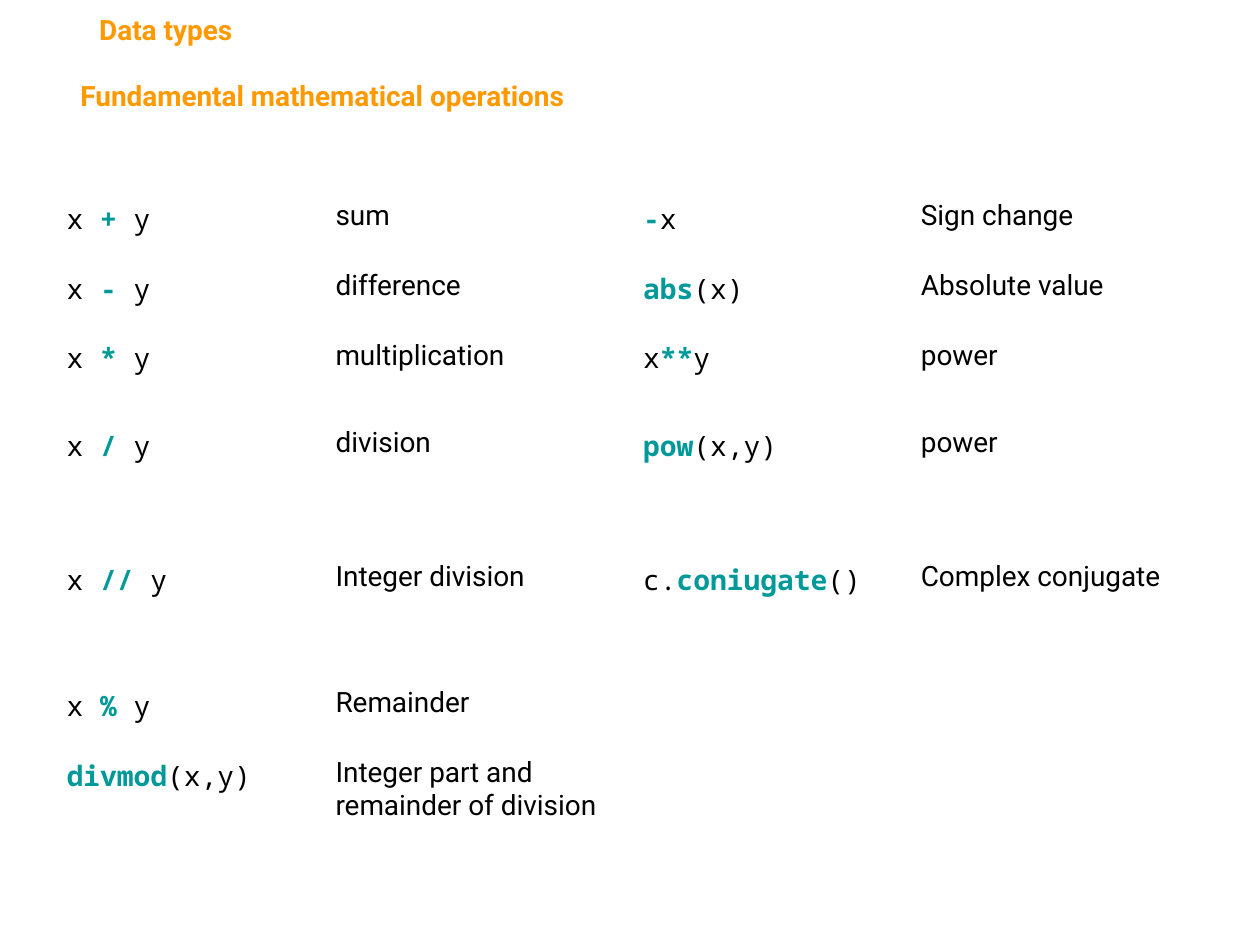
"""Build a slide that lists the fundamental mathematical operations."""
import pptx
import pptx.util
import pptx.dml.color
import pptx.enum.text

Cm, Pt = pptx.util.Cm, pptx.util.Pt
ALIGN = pptx.enum.text.PP_ALIGN

THEME = {
    "size": Pt(16),
    "body": "Roboto",
    "code": "Noto Sans Mono",
    "text": "000000",
    "mark": "009999",
    "head": "FF9900",
}

HEADS = [
    ("Fundamental mathematical operations", (0.76, 1.45, 11.48, 0.94),
     (0.25, 0.13, 0.25, 0.13), ALIGN.CENTER),
    ("Data types", (0, 0, 5.31, 1.19), (2, 0.25, 0.25, 0.25), ALIGN.LEFT),
]

ROWS = [
    (1.41, ("x ", "+", " y"), "sum", ("", "-", "x"), "Sign change"),
    (1.41, ("x ", "-", " y"), "difference", ("", "abs", "(x)"), "Absolute value"),
    (1.77, ("x ", "*", " y"), "multiplication", ("x", "**", "y"), "power"),
    (2.7, ("x ", "/", " y"), "division", ("", "pow", "(x,y)"), "power"),
    (2.54, ("x ", "//", " y"), "Integer division",
     ("c.", "coniugate", "()"), "Complex conjugate"),
    (1.41, ("x ", "%", " y"), "Remainder", "", ""),
    (1.77, ("", "divmod", "(x,y)"), "Integer part and remainder of division", "", ""),
    (1.41, "", "", "", ""),
]
COLS = [5.42, 6.2, 5.6, 6]
LEFT, TOP = 1.09, 3.89


def add_run(para, text, face, color, bold=False):
    run = para.add_run()
    run.text = text
    font = run.font
    font.name, font.size, font.bold = THEME[face], THEME["size"], bold
    font.color.rgb = pptx.dml.color.RGBColor.from_string(THEME[color])


def fill_cell(cell, item):
    cell.fill.background()
    para = cell.text_frame.paragraphs[0]
    if isinstance(item, tuple):
        for part, mark in zip(item, (False, True, False)):
            if part:
                add_run(para, part, "code", "mark" if mark else "text", mark)
    elif item:
        add_run(para, item, "body", "text")


def add_grid(slide):
    high = sum(row[0] for row in ROWS)
    grid = slide.shapes.add_table(len(ROWS), len(COLS), Cm(LEFT), Cm(TOP),
                                  Cm(sum(COLS)), Cm(high)).table
    grid.first_row = grid.horz_banding = False
    for col, wide in zip(grid.columns, COLS):
        col.width = Cm(wide)
    for line, (tall, *items) in zip(grid.rows, ROWS):
        line.height = Cm(tall)
        for cell, item in zip(line.cells, items):
            fill_cell(cell, item)


def add_head(slide, text, place, inset, align):
    frame = slide.shapes.add_textbox(*map(Cm, place)).text_frame
    frame.word_wrap = False
    frame.auto_size = pptx.enum.text.MSO_AUTO_SIZE.SHAPE_TO_FIT_TEXT
    (frame.margin_left, frame.margin_top,
     frame.margin_right, frame.margin_bottom) = map(Cm, inset)
    para = frame.paragraphs[0]
    para.alignment = align
    add_run(para, text, "body", "head", True)


deck = pptx.Presentation()
deck.slide_width, deck.slide_height = Cm(25.4), Cm(19.05)
page = deck.slides.add_slide(deck.slide_layouts[6])
add_grid(page)
for head in HEADS:
    add_head(page, *head)
deck.save("out.pptx")
